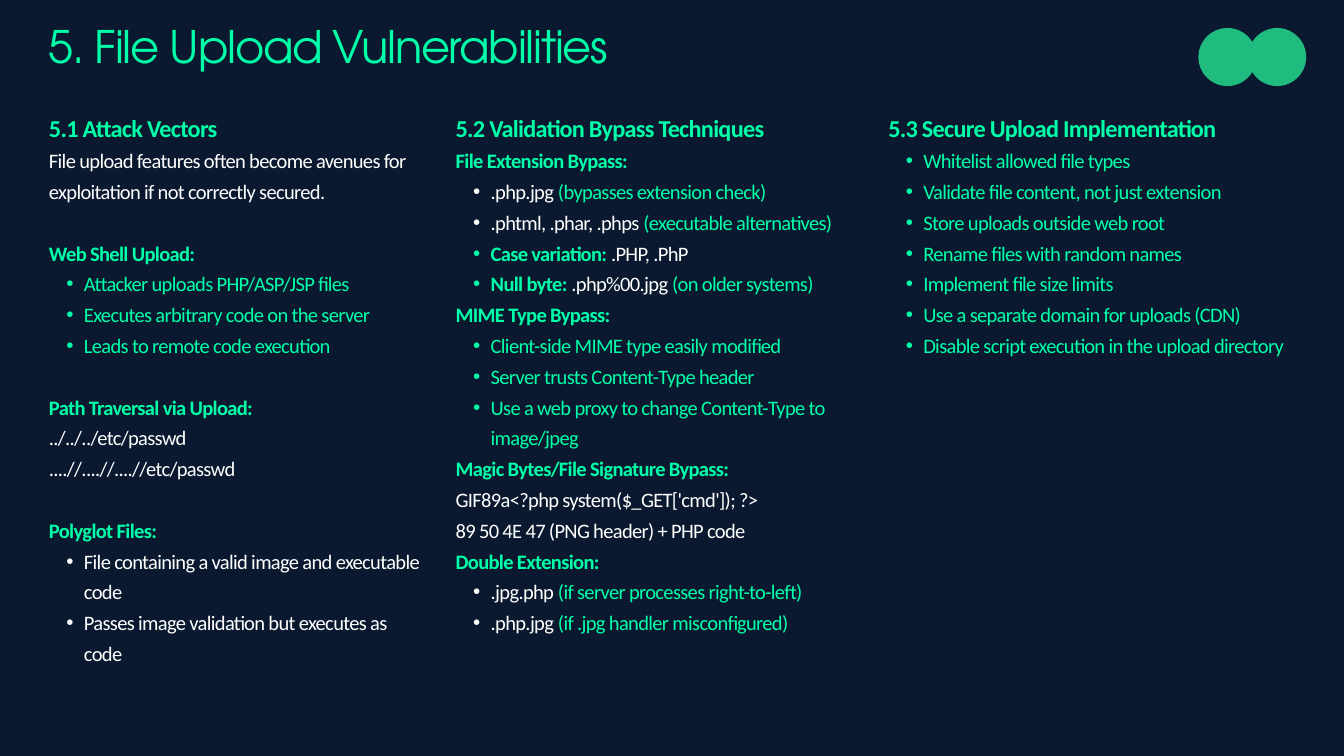
"""Build the slide on file upload vulnerabilities."""
from lxml.etree import SubElement
from pptx import Presentation
from pptx.dml.color import RGBColor
from pptx.enum.shapes import MSO_SHAPE
from pptx.enum.text import MSO_ANCHOR, PP_ALIGN
from pptx.oxml.ns import qn
from pptx.util import Pt

PX = 9525
COLORS = {"navy": "0A192F", "mint": "00FFA8", "white": "FFFFFF", "green": "1FBB7F"}

HEADING, LABEL, PLAIN, BULLET = "heading", "label", "plain", "bullet"
COLUMN_TOP = 151


def white(text):
    return text, "white", False


def mint(text):
    return text, "mint", False


def strong(text):
    return text, "mint", True


ATTACKS = [
    (HEADING, strong("5.1 Attack Vectors")),
    (PLAIN, white("File upload features often become avenues for exploitation if not correctly secured.")),
    (LABEL, strong("Web Shell Upload:")),
    (BULLET, mint("Attacker uploads PHP/ASP/JSP files")),
    (BULLET, mint("Executes arbitrary code on the server")),
    (BULLET, mint("Leads to remote code execution")),
    (LABEL, strong("Path Traversal via Upload:")),
    (PLAIN, white("../../../etc/passwd")),
    (PLAIN, white("....//....//....//etc/passwd")),
    (LABEL, strong("Polyglot Files:")),
    (BULLET, white("File containing a valid image and executable code")),
    (BULLET, white("Passes image validation but executes as code")),
]

BYPASSES = [
    (HEADING, strong("5.2 Validation Bypass Techniques")),
    (LABEL, strong("File Extension Bypass:")),
    (BULLET, white(".php.jpg"), mint(" (bypasses extension check)")),
    (BULLET, white(".phtml, .phar, .phps"), mint(" (executable alternatives)")),
    (BULLET, strong("Case variation: "), white(".PHP, .PhP")),
    (BULLET, strong("Null byte: "), white(".php%00.jpg"), mint(" (on older systems)")),
    (LABEL, strong("MIME Type Bypass:")),
    (BULLET, mint("Client-side MIME type easily modified")),
    (BULLET, mint("Server trusts Content-Type header")),
    (BULLET, mint("Use a web proxy to change Content-Type to image/jpeg")),
    (LABEL, strong("Magic Bytes/File Signature Bypass:")),
    (PLAIN, white("GIF89a<?php system($_GET['cmd']); ?>")),
    (PLAIN, white("89 50 4E 47 (PNG header) + PHP code")),
    (LABEL, strong("Double Extension:")),
    (BULLET, white(".jpg.php"), mint(" (if server processes right-to-left)")),
    (BULLET, white(".php.jpg"), mint(" (if .jpg handler misconfigured)")),
]

DEFENSES = [(HEADING, strong("5.3 Secure Upload Implementation"))] + [
    (BULLET, mint(text))
    for text in (
        "Whitelist allowed file types",
        "Validate file content, not just extension",
        "Store uploads outside web root",
        "Rename files with random names",
        "Implement file size limits",
        "Use a separate domain for uploads (CDN)",
        "Disable script execution in the upload directory",
    )
]


def add_span(para, text, size=22, color="mint", bold=False, font="Calibri", spacing=-0.7):
    span = para.add_run()
    span.text = text
    span.font.size = Pt(size)
    span.font.name = font
    span.font.bold = bold
    span.font.color.rgb = RGBColor.from_string(COLORS[color])
    span._r.get_or_add_rPr().set("spc", str(round(spacing * 100)))


def add_bullet(para):
    properties = para._p.get_or_add_pPr()
    properties.set("lvl", "1")
    properties.set("marL", str(50 * PX))
    properties.set("indent", str(-25 * PX))
    SubElement(properties, qn("a:buFont"), typeface="Arial")
    SubElement(properties, qn("a:buChar"), char="•")


class Page:
    def __init__(self, deck):
        self.slide = deck.slides.add_slide(deck.slide_layouts[5])
        fill = self.slide.background.fill
        fill.solid()
        fill.fore_color.rgb = RGBColor.from_string(COLORS["navy"])

    def clear_frame(self, box):
        frame = box.text_frame
        frame.word_wrap = True
        frame.vertical_anchor = MSO_ANCHOR.TOP
        frame.margin_left = frame.margin_top = frame.margin_right = frame.margin_bottom = 0
        return frame

    def title(self, text, left, top, width, height):
        box = self.slide.shapes.title
        box.left, box.top, box.width, box.height = (n * PX for n in (left, top, width, height))
        para = self.clear_frame(box).paragraphs[0]
        para.alignment = PP_ALIGN.JUSTIFY
        para.line_spacing = Pt(48)
        add_span(para, text, size=48, font="TeX Gyre Adventor", spacing=-1.4)

    def column(self, items, left, width, height, label_gap=0):
        box = self.slide.shapes.add_textbox(left * PX, COLUMN_TOP * PX, width * PX, height * PX)
        frame = self.clear_frame(box)
        for index, (kind, *spans) in enumerate(items):
            para = frame.add_paragraph() if index else frame.paragraphs[0]
            if kind == BULLET:
                add_bullet(para)
            para.line_spacing = Pt(39 if kind == HEADING else 33)
            if kind == LABEL and label_gap:
                para.space_before = Pt(label_gap)
            style = {"size": 26, "spacing": -0.8} if kind == HEADING else {}
            for text, color, bold in spans:
                add_span(para, text, color=color, bold=bold, **style)

    def circle(self, left, top, size):
        shape = self.slide.shapes.add_shape(MSO_SHAPE.OVAL, left * PX, top * PX, size * PX, size * PX)
        shape.shadow.inherit = False
        shape.fill.solid()
        shape.fill.fore_color.rgb = RGBColor.from_string(COLORS["green"])
        shape.line.fill.background()


def main():
    deck = Presentation()
    deck.slide_width, deck.slide_height = 1920 * PX, 1080 * PX
    page = Page(deck)
    for left in (1712, 1783):
        page.circle(left, 40, 83)
    page.title("5. File Upload Vulnerabilities", 70, 39, 1796, 78)
    page.column(ATTACKS, 70, 542, 840, label_gap=33)
    page.column(BYPASSES, 651, 574, 840)
    page.column(DEFENSES, 1269, 596, 393)
    deck.save("out.pptx")


if __name__ == "__main__":
    main()
